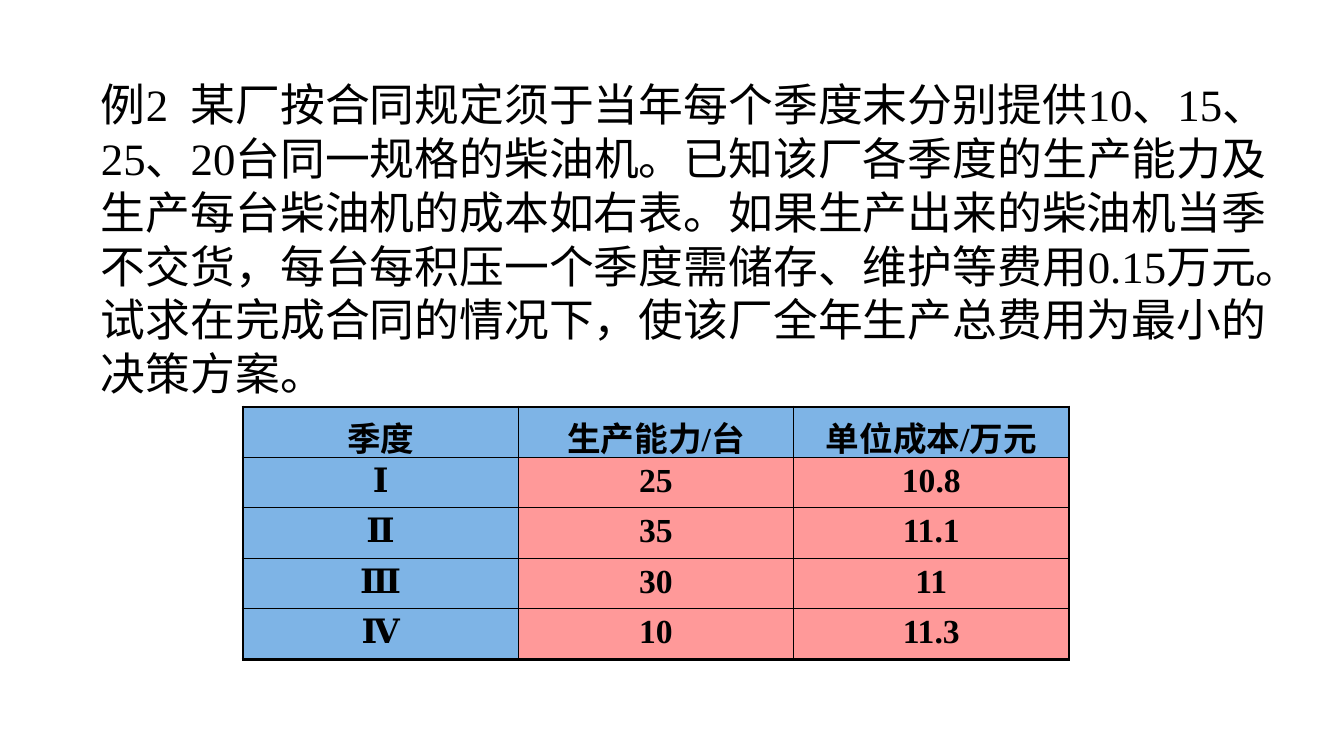
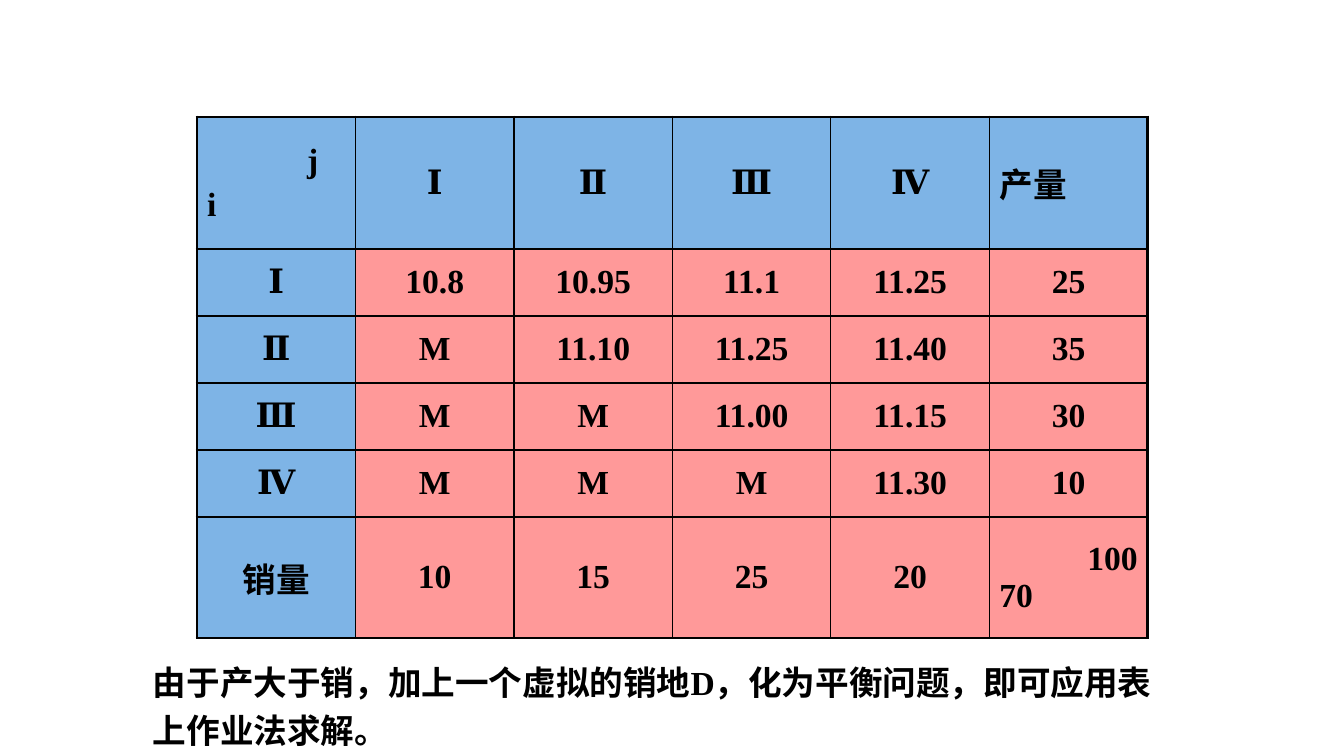
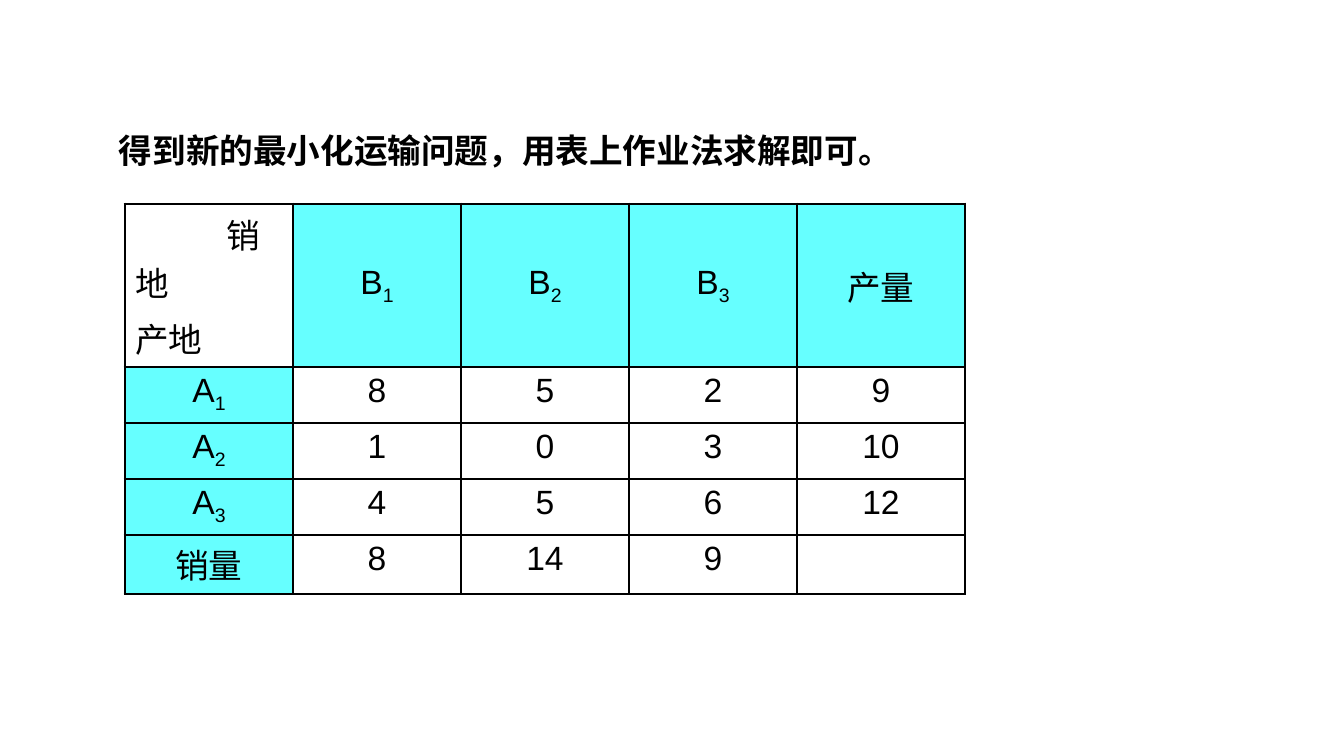
import pptx
import pptx.util
import pptx.dml.color
import pptx.enum.text
import pptx.oxml.ns
from lxml import etree

PX = 9071  # EMU in one pixel
BLACK, BLUE, PINK, CYAN = "000000", "7EB4E6", "FF9999", "66FFFF"
SERIF, SANS = "Times New Roman", "Arial"
LEFT, CENTER, RIGHT = (pptx.enum.text.PP_ALIGN.LEFT, pptx.enum.text.PP_ALIGN.CENTER,
                       pptx.enum.text.PP_ALIGN.RIGHT)
MIDDLE, TOP = pptx.enum.text.MSO_ANCHOR.MIDDLE, pptx.enum.text.MSO_ANCHOR.TOP
THICK, THIN = 2.25, 1


def write(para, text, font, size, bold):
    """Add the text run by run; a part after "_" is a subscript."""
    for index, part in enumerate(text.split("_")):
        if not part:
            continue
        span = para.add_run()
        span.text = part
        span.font.name, span.font.size, span.font.bold = font, pptx.util.Pt(size), bold
        span.font.color.rgb = pptx.dml.color.RGBColor.from_string(BLACK)
        if index:
            span.font._element.set("baseline", "-25000")


def add_border(cell, side, width):
    """Draw one side of a table cell."""
    line = etree.SubElement(cell._tc.get_or_add_tcPr(), pptx.oxml.ns.qn("a:ln" + side),
                            w=str(pptx.util.Pt(width)))
    fill = etree.SubElement(line, pptx.oxml.ns.qn("a:solidFill"))
    etree.SubElement(fill, pptx.oxml.ns.qn("a:srgbClr"), val=BLACK)


# Content: aligns and indents override the centred cells, one entry a paragraph
slides = [
    dict(
        text="例2  某厂按合同规定须于当年每个季度末分别提供10、15、25、20台同一规格的柴油机。"
             "已知该厂各季度的生产能力及生产每台柴油机的成本如右表。如果生产出来的柴油机当季不交货，"
             "每台每积压一个季度需储存、维护等费用0.15万元。试求在完成合同的情况下，"
             "使该厂全年生产总费用为最小的决策方案。",
        text_at=(91, 72, 1210, 336), size=32, bold=False, spacing=None,
        table_at=(243, 407, 826, 252), rows=[22] * 5,
        font=SERIF, head=BLUE, body=PINK, corner=BLUE, middle_rows=0,
        aligns={}, indents={},
        cells=[["季度", "生产能力/台", "单位成本/万元"],
               ["Ⅰ", "25", "10.8"],
               ["Ⅱ", "35", "11.1"],
               ["Ⅲ", "30", "11"],
               ["Ⅳ", "10", "11.3"]]),
    dict(
        text="由于产大于销，加上一个虚拟的销地D，化为平衡问题，即可应用表上作业法求解。",
        text_at=(143, 649, 1044, 107), size=24, bold=True, spacing=1.2,
        table_at=(197, 117, 951, 521), rows=[132, 67, 67, 67, 67, 121],
        font=SERIF, head=BLUE, body=PINK, corner=BLUE, middle_rows=6,
        aligns={(0, 0): [LEFT, LEFT], (0, 5): [LEFT], (5, 5): [RIGHT, LEFT]},
        indents={(0, 0): 100},
        cells=[["j\ni", "Ⅰ", "Ⅱ", "Ⅲ", "Ⅳ", "产量"],
               ["Ⅰ", "10.8", "10.95", "11.1", "11.25", "25"],
               ["Ⅱ", "M", "11.10", "11.25", "11.40", "35"],
               ["Ⅲ", "M", "M", "11.00", "11.15", "30"],
               ["Ⅳ", "M", "M", "M", "11.30", "10"],
               ["销量", "10", "15", "25", "20", "100\n70"]]),
    dict(
        text="得到新的最小化运输问题，用表上作业法求解即可。",
        text_at=(109, 117, 850, 58), size=24, bold=True, spacing=1.2,
        table_at=(125, 204, 840, 381), rows=[163, 53, 53, 53, 59],
        font=SANS, head=CYAN, body=None, corner=None, middle_rows=1,
        aligns={(0, 0): [LEFT, LEFT]}, indents={(0, 0): 91},
        cells=[["销地\n产地", "B_1", "B_2", "B_3", "产量"],
               ["A_1", "8", "5", "2", "9"],
               ["A_2", "1", "0", "3", "10"],
               ["A_3", "4", "5", "6", "12"],
               ["销量", "8", "14", "9", ""]]),
]

deck = pptx.Presentation()
deck.slide_width, deck.slide_height = 1344 * PX, 756 * PX

for item in slides:
    page = deck.slides.add_slide(deck.slide_layouts[6])

    # Problem statement or remark
    box = page.shapes.add_textbox(*[length * PX for length in item["text_at"]])
    box.text_frame.word_wrap = True
    box.text_frame.auto_size = pptx.enum.text.MSO_AUTO_SIZE.SHAPE_TO_FIT_TEXT
    para = box.text_frame.paragraphs[0]
    para.line_spacing = item["spacing"]
    write(para, item["text"], SERIF, item["size"], item["bold"])

    # Table grid: equal columns; short rows are stretched to the frame height
    left, top, width, height = [length * PX for length in item["table_at"]]
    cells = item["cells"]
    last_row, last_column = len(cells) - 1, len(cells[0]) - 1
    frame = page.shapes.add_table(len(cells), len(cells[0]), left, top, width, height)
    table = frame.table
    table.first_row = table.horz_banding = False
    for row, row_height in zip(table.rows, item["rows"]):
        row.height = row_height * PX
    frame.height = height

    # Table cells
    for r, values in enumerate(cells):
        for c, value in enumerate(values):
            cell = table.cell(r, c)
            for side, outer in (("L", c == 0), ("R", c == last_column),
                                ("T", r == 0), ("B", r == last_row)):
                add_border(cell, side, THICK if outer else THIN)

            color = item["head"] if r == 0 or c == 0 else item["body"]
            if r == c == 0:
                color = item["corner"]
            if color:
                cell.fill.solid()
                cell.fill.fore_color.rgb = pptx.dml.color.RGBColor.from_string(color)
            else:
                cell.fill.background()

            cell.vertical_anchor = MIDDLE if r < item["middle_rows"] else TOP
            aligns = item["aligns"].get((r, c), [CENTER])
            for index, (line, align) in enumerate(zip(value.split("\n"), aligns)):
                para = cell.text_frame.paragraphs[0]
                if index:
                    para = cell.text_frame.add_paragraph()
                    para.space_before = pptx.util.Pt(4.8 if r == 0 else 0)
                elif (r, c) in item["indents"]:
                    para._p.get_or_add_pPr().set("indent", str(item["indents"][r, c] * PX))
                para.alignment = align
                write(para, line, item["font"], 24, item["font"] == SERIF)

deck.save("out.pptx")
